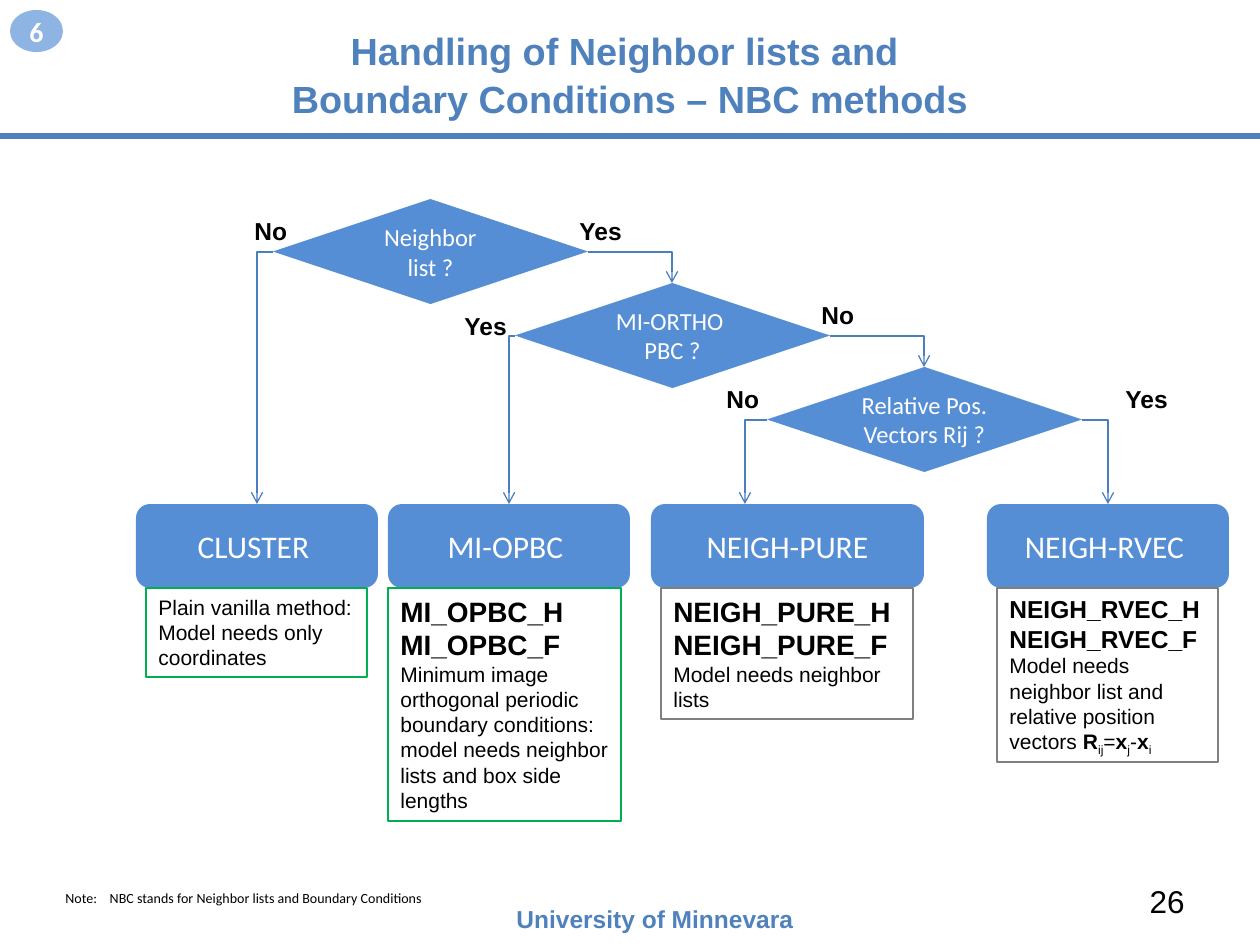
from lxml import etree
from pptx import Presentation
from pptx import util as u
from pptx.dml.color import RGBColor
from pptx.enum import shapes, text
from pptx.oxml.ns import qn

SCALE = 914400 / 126
TITLE_BLUE = "4F81BD"
SHAPE_BLUE = "558ED5"
LINE_BLUE = "4B7EBC"
BADGE_BLUE = "8EB4E3"
GREEN = "00B050"
GREY = "7F7F7F"
BLACK = "000000"
WHITE = "FFFFFF"
CENTER = text.PP_ALIGN.CENTER
MIDDLE = text.MSO_ANCHOR.MIDDLE
DECISION_SIZE = (315, 105)

DECISIONS = [
    (273, 199, "Neighbor list ?"),
    (515, 283, "MI-ORTHO \nPBC ?"),
    (767, 367, "Relative Pos. Vectors Rij ?"),
]
ANSWERS = [
    (567, 210, "Yes"), (242, 210, "No"), (452, 305, "Yes"),
    (809, 294, "No"), (714, 378, "No"), (1113, 378, "Yes"),
]
ARROWS = [
    (273, 252, 257, 504), (515, 336, 509, 504), (767, 420, 745, 504),
    (1082, 420, 1108, 504), (588, 252, 672, 283), (830, 336, 924, 367),
]
METHODS = [
    (136, 242, "CLUSTER "), (388, 242, "MI-OPBC "),
    (651, 273, "NEIGH-PURE"), (987, 242, "NEIGH-RVEC "),
]
VECTOR_FORMULA = [("R", "ij"), ("=", ""), ("x", "j"), ("-", ""), ("x", "i")]
DETAILS = [
    ((146, 588, 221, 89), GREEN, 16, [],
     ["Plain vanilla method:", "Model needs only coordinates"], []),
    ((388, 588, 233, 233), GREEN, 16, ["MI_OPBC_H", "MI_OPBC_F"],
     ["Minimum image orthogonal periodic boundary conditions:",
      "model needs neighbor lists and box side lengths"], []),
    ((661, 588, 252, 131), GREY, 16, ["NEIGH_PURE_H", "NEIGH_PURE_F"],
     ["Model needs neighbor lists"], []),
    ((997, 588, 221, 174), GREY, 14, ["NEIGH_RVEC_H", "NEIGH_RVEC_F"],
     ["Model needs neighbor list and relative position vectors "], VECTOR_FORMULA),
]


def px(*lengths):
    """Turn pixel lengths into EMU."""
    return [u.Emu(round(length * SCALE)) for length in lengths]


def color(value):
    """Return the colour of a hex string."""
    return RGBColor.from_string(value)


def style(span, size, shade=BLACK, bold=False, name="Arial"):
    """Format one run."""
    span.font.size = u.Pt(size)
    span.font.color.rgb = color(shade)
    span.font.bold = bold
    span.font.name = name


def write(frame, words, size, shade=BLACK, bold=False, name="Arial",
          align=text.PP_ALIGN.LEFT, anchor=text.MSO_ANCHOR.TOP):
    """Fill a text frame with evenly formatted paragraphs."""
    frame.text = words
    frame.word_wrap = True
    frame.vertical_anchor = anchor
    for para in frame.paragraphs:
        para.alignment = align
        for span in para.runs:
            style(span, size, shade, bold, name)


def add_text(page, bounds, words, size, **options):
    """Add a wrapped text box."""
    box = page.shapes.add_textbox(*px(*bounds))
    write(box.text_frame, words, size, **options)
    return box


def add_filled(page, kind, bounds, words, size, fill=SHAPE_BLUE, bold=False):
    """Add a filled shape with white centred text."""
    box = page.shapes.add_shape(kind, *px(*bounds))
    box.shadow.inherit = False
    box.fill.solid()
    box.fill.fore_color.rgb = color(fill)
    box.line.fill.background()
    write(box.text_frame, words, size, WHITE, bold, "Calibri", CENTER, MIDDLE)
    return box


def add_line(page, kind, ends, shade, width):
    """Add a connector without shadow."""
    line = page.shapes.add_connector(kind, *px(*ends))
    line.line.color.rgb = color(shade)
    line.line.width = u.Pt(width)
    etree.SubElement(line._element.spPr, qn("a:effectLst"))
    return line


def add_bent_arrow(page, ends):
    """Add an arrow that runs sideways and then down."""
    arrow = add_line(page, shapes.MSO_CONNECTOR.ELBOW, ends, LINE_BLUE, 0.75)
    properties = arrow._element.spPr
    properties.find(qn("a:prstGeom")).set("prst", "bentConnector2")
    etree.SubElement(properties.find(qn("a:ln")), qn("a:tailEnd"), type="arrow")


def add_formula(para, terms):
    """Append formula terms with their subscripts."""
    for symbol, index in terms:
        span = para.add_run()
        span.text = symbol
        style(span, 12, bold=symbol.isalpha())
        if index:
            span = para.add_run()
            span.text = index
            style(span, 12)
            span.font._element.set("baseline", "-25000")


def add_detail(page, bounds, outline, heading_size, headings, body, formula):
    """Add an outlined box with bold headings, body text and a formula."""
    box = add_text(page, bounds, "\n".join(headings + body), 12)
    box.line.color.rgb = color(outline)
    box.line.width = u.Pt(0.75)
    paragraphs = box.text_frame.paragraphs
    for para in paragraphs[:len(headings)]:
        style(para.runs[0], heading_size, bold=True)
    add_formula(paragraphs[-1], formula)


def add_title(page):
    """Place and format the title with its rule."""
    title = page.shapes.title
    title.left, title.top, title.width, title.height = px(63, 31, 1134, 84)
    frame = title.text_frame
    write(frame, "Handling of Neighbor lists and \vBoundary Conditions – NBC methods",
          21.6, TITLE_BLUE, True, align=CENTER, anchor=MIDDLE)
    frame.auto_size = text.MSO_AUTO_SIZE.NONE
    frame.paragraphs[0].line_spacing = 1.05
    add_line(page, shapes.MSO_CONNECTOR.STRAIGHT, (0, 136, 1260, 136), TITLE_BLUE, 3)


def add_footer(page):
    """Add the note, the institution and the page number."""
    add_text(page, (504, 898, 336, 43), "University of Minnevara", 14,
             shade=TITLE_BLUE, bold=True)
    add_text(page, (903, 876, 294, 50), "26", 18,
             align=text.PP_ALIGN.RIGHT, anchor=MIDDLE)
    note = add_text(page, (53, 883, 935, 30),
                    "Note:    NBC stands for Neighbor lists and Boundary Conditions",
                    8, name="Calibri")
    properties = note.text_frame.paragraphs[0]._p.get_or_add_pPr()
    properties.set("marL", str(u.Inches(0.25)))
    properties.set("indent", str(-u.Inches(0.25)))


def main():
    """Build and save the slide."""
    deck = Presentation()
    deck.slide_width, deck.slide_height = px(1260, 945)
    page = deck.slides.add_slide(deck.slide_layouts[5])
    kinds = shapes.MSO_SHAPE
    add_title(page)
    for left, top, words in DECISIONS:
        add_filled(page, kinds.FLOWCHART_DECISION, (left, top, *DECISION_SIZE), words, 14)
    for left, width, words in METHODS:
        add_filled(page, kinds.ROUNDED_RECTANGLE, (left, 504, width, 84), words, 18)
    for detail in DETAILS:
        add_detail(page, *detail)
    for left, top, words in ANSWERS:
        add_text(page, (left, top, 84 if words == "Yes" else 63, 42), words, 14, bold=True)
    for ends in ARROWS:
        add_bent_arrow(page, ends)
    add_footer(page)
    badge = add_filled(page, kinds.OVAL, (10, 10, 53, 42), "6", 16, BADGE_BLUE, True)
    badge.text_frame.margin_left = badge.text_frame.margin_right = 0
    deck.save("out.pptx")


if __name__ == "__main__":
    main()
